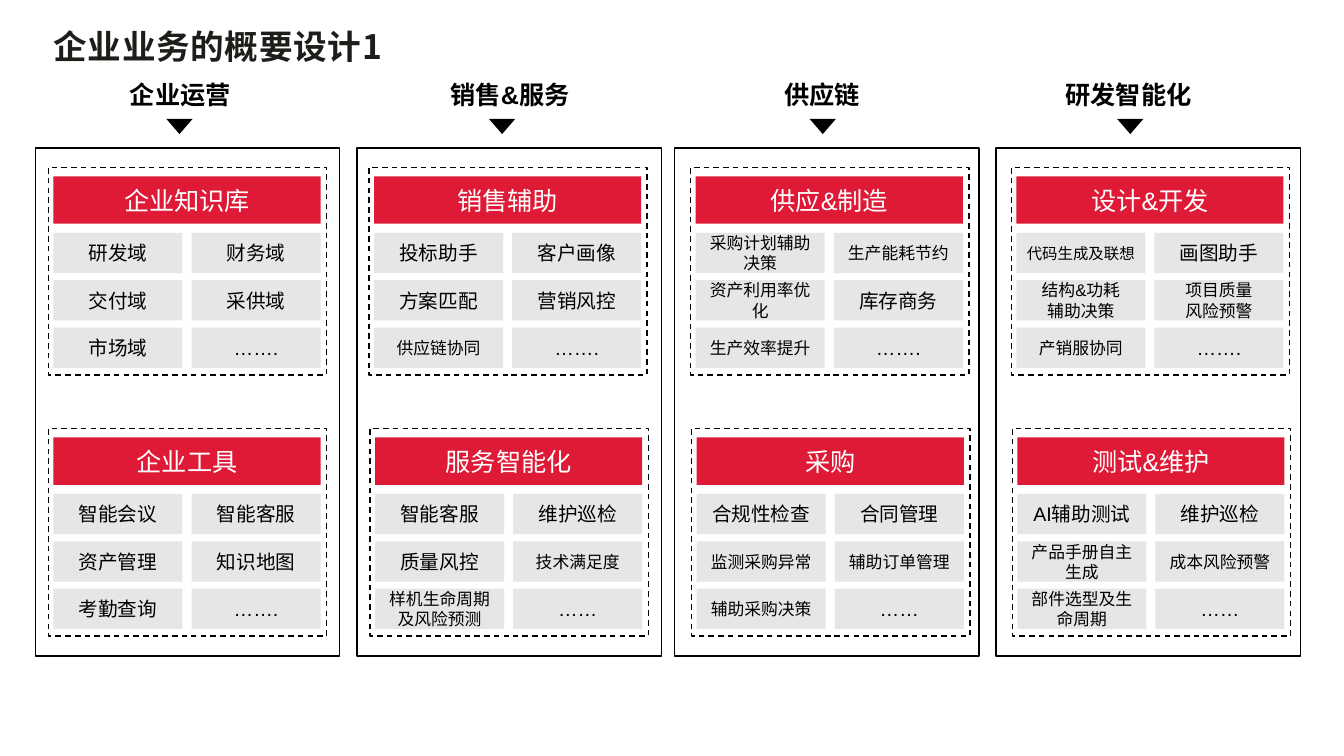
"""Build the enterprise business overview slide with four columns of capability panels."""
import pptx
import pptx.dml.color
import pptx.enum.dml
import pptx.enum.shapes
import pptx.enum.text
import pptx.oxml.ns
import pptx.util
from lxml import etree

PX = 9144
BLACK = pptx.dml.color.RGBColor(0x00, 0x00, 0x00)
WHITE = pptx.dml.color.RGBColor(0xFF, 0xFF, 0xFF)
INK = pptx.dml.color.RGBColor(0x1D, 0x1D, 0x1A)
RED = pptx.dml.color.RGBColor(0xDE, 0x1A, 0x37)
GREY = pptx.dml.color.RGBColor(0xE8, 0xE6, 0xE4)
CJK = "Noto Sans CJK SC"
SHAPE = pptx.enum.shapes.MSO_SHAPE
ALIGN = pptx.enum.text.PP_ALIGN
ANCHOR = pptx.enum.text.MSO_ANCHOR

COLUMNS = [
    ("企业运营", 119, 126, 165, 35, [
        (53, "企业知识库", ["研发域", "财务域", "交付域", "采供域", "市场域", "……."]),
        (53, "企业工具", ["智能会议", "智能客服", "资产管理", "知识地图", "考勤查询", "……."]),
    ]),
    ("销售&服务", 437, 147, 485, 354, [
        (371, "销售辅助", ["投标助手", "客户画像", "方案匹配", "营销风控", "供应链协同", "……."]),
        (372, "服务智能化", ["智能客服", "维护巡检", "质量风控", "技术满足度",
                        "样机生命周期及风险预测", "……"]),
    ]),
    ("供应链", 768, 96, 803, 669, [
        (690, "供应&制造", ["采购计划辅助决策", "生产能耗节约", "资产利用率优化", "库存商务",
                        "生产效率提升", "……."]),
        (691, "采购", ["合规性检查", "合同管理", "监测采购异常", "辅助订单管理",
                     "辅助采购决策", "……"]),
    ]),
    ("研发智能化", 1047, 147, 1108, 988, [
        (1008, "设计&开发", ["代码生成及联想", "画图助手", "结构&功耗\n辅助决策",
                         "项目质量\n风险预警", "产销服协同", "……."]),
        (1009, "测试&维护", ["AI辅助测试", "维护巡检", "产品手册自主生成", "成本风险预警",
                         "部件选型及生命周期", "……"]),
    ]),
]
SPECIAL_SIZES = {"合规性检查": 14, "AI辅助测试": 14, "代码生成及联想": 11}


def write(tf, text, size, color, bold=False, align=ALIGN.LEFT, anchor=ANCHOR.TOP,
          font="Arial", spacing=0):
    tf.word_wrap = True
    tf.vertical_anchor = anchor
    for i, line in enumerate(text.split("\n")):
        p = tf.paragraphs[0] if i == 0 else tf.add_paragraph()
        p.alignment = align
        r = p.add_run()
        r.text = line
        r.font.size = pptx.util.Pt(size)
        r.font.bold = bold
        r.font.color.rgb = color
        r.font.name = font
        rpr = r.font._element
        if spacing:
            rpr.set("spc", str(spacing))
        etree.SubElement(rpr, pptx.oxml.ns.qn("a:ea")).set("typeface", CJK)


def add_box(kind, x, y, w, h, fill=None, dash=False):
    sp = s.shapes.add_shape(kind, x * PX, y * PX, w * PX, h * PX)
    sp.shadow.inherit = False
    if fill is None:
        sp.fill.background()
        sp.line.color.rgb = BLACK
        sp.line.width = pptx.util.Pt(1)
        if dash:
            sp.line.dash_style = pptx.enum.dml.MSO_LINE.DASH
    else:
        sp.fill.solid()
        sp.fill.fore_color.rgb = fill
        sp.line.fill.background()
    return sp


prs = pptx.Presentation()
prs.slide_width = 1333 * PX
prs.slide_height = 750 * PX
s = prs.slides.add_slide(prs.slide_layouts[5])

title = s.shapes.title
title.left, title.top, title.width, title.height = 43 * PX, 20 * PX, 497 * PX, 51 * PX
title.text_frame.auto_size = pptx.enum.text.MSO_AUTO_SIZE.NONE
write(title.text_frame, "企业业务的概要设计1", 24, INK, bold=True, anchor=ANCHOR.MIDDLE,
      font=CJK, spacing=50)

for heading, head_x, head_w, arrow_x, column_x, panels in COLUMNS:
    add_box(SHAPE.RECTANGLE, column_x, 147, 302, 504)
    tb = s.shapes.add_textbox(head_x * PX, 74 * PX, head_w * PX, 40 * PX)
    write(tb.text_frame, heading, 18, BLACK, bold=True)
    arrow = add_box(SHAPE.ISOSCELES_TRIANGLE, arrow_x, 118, 26, 15, fill=BLACK)
    arrow.rotation = 180

    for n, (x, name, items) in enumerate(panels):
        y = 166 + 259 * n
        add_box(SHAPE.RECTANGLE, x - 5, y, 276, 206, dash=True)
        banner = add_box(SHAPE.RECTANGLE, x, y + 9, 265, 47, fill=RED)
        write(banner.text_frame, name, 18, WHITE, align=ALIGN.CENTER, anchor=ANCHOR.MIDDLE)
        for i, item in enumerate(items):
            row, col = divmod(i, 2)
            tile = add_box(SHAPE.RECTANGLE, x + 137 * col, y + 65 + 47 * row, 128, 40, fill=GREY)
            size = SPECIAL_SIZES.get(item, 14 if len(item) < 5 else 12)
            write(tile.text_frame, item, size, BLACK, align=ALIGN.CENTER, anchor=ANCHOR.MIDDLE)

prs.save("out.pptx")
